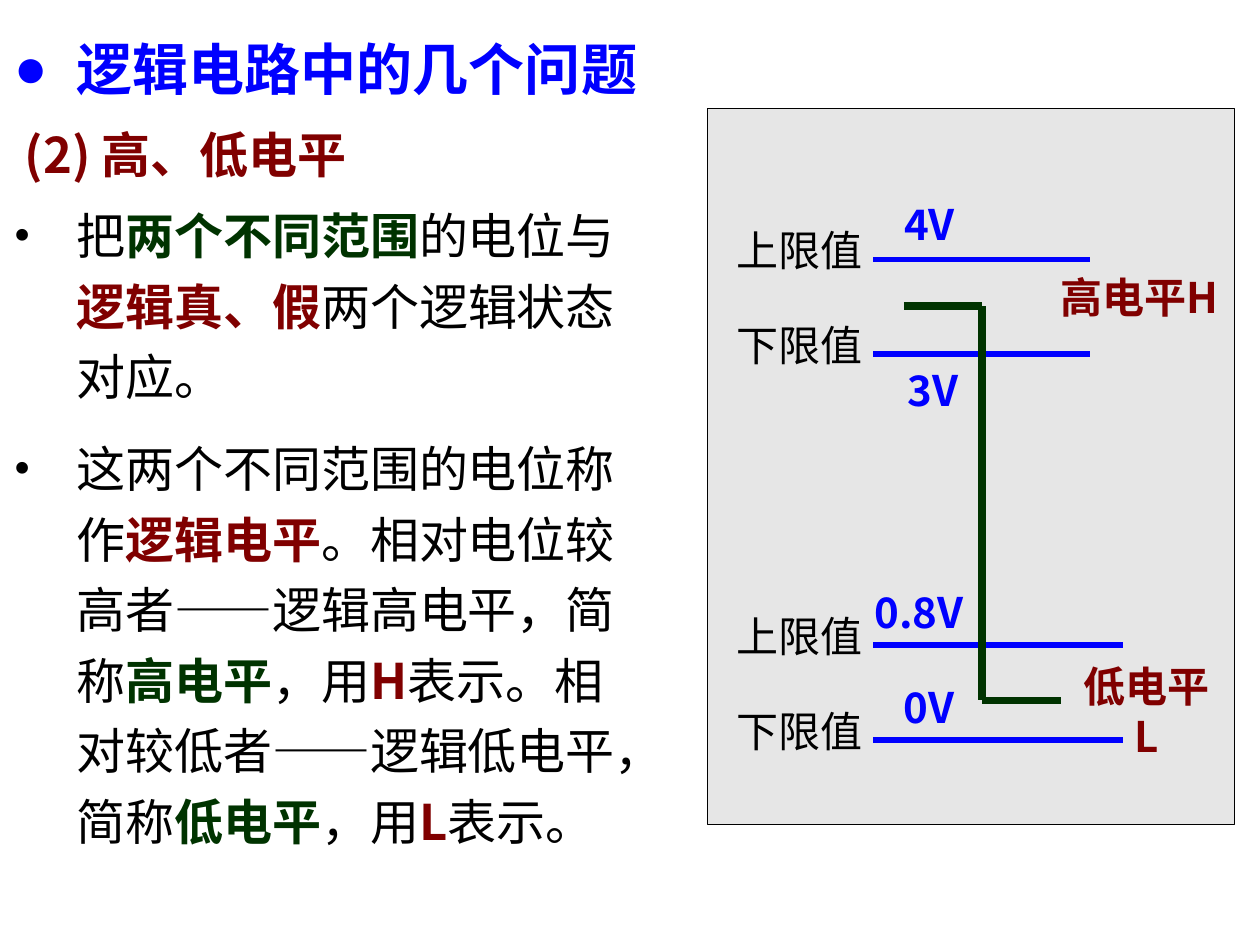
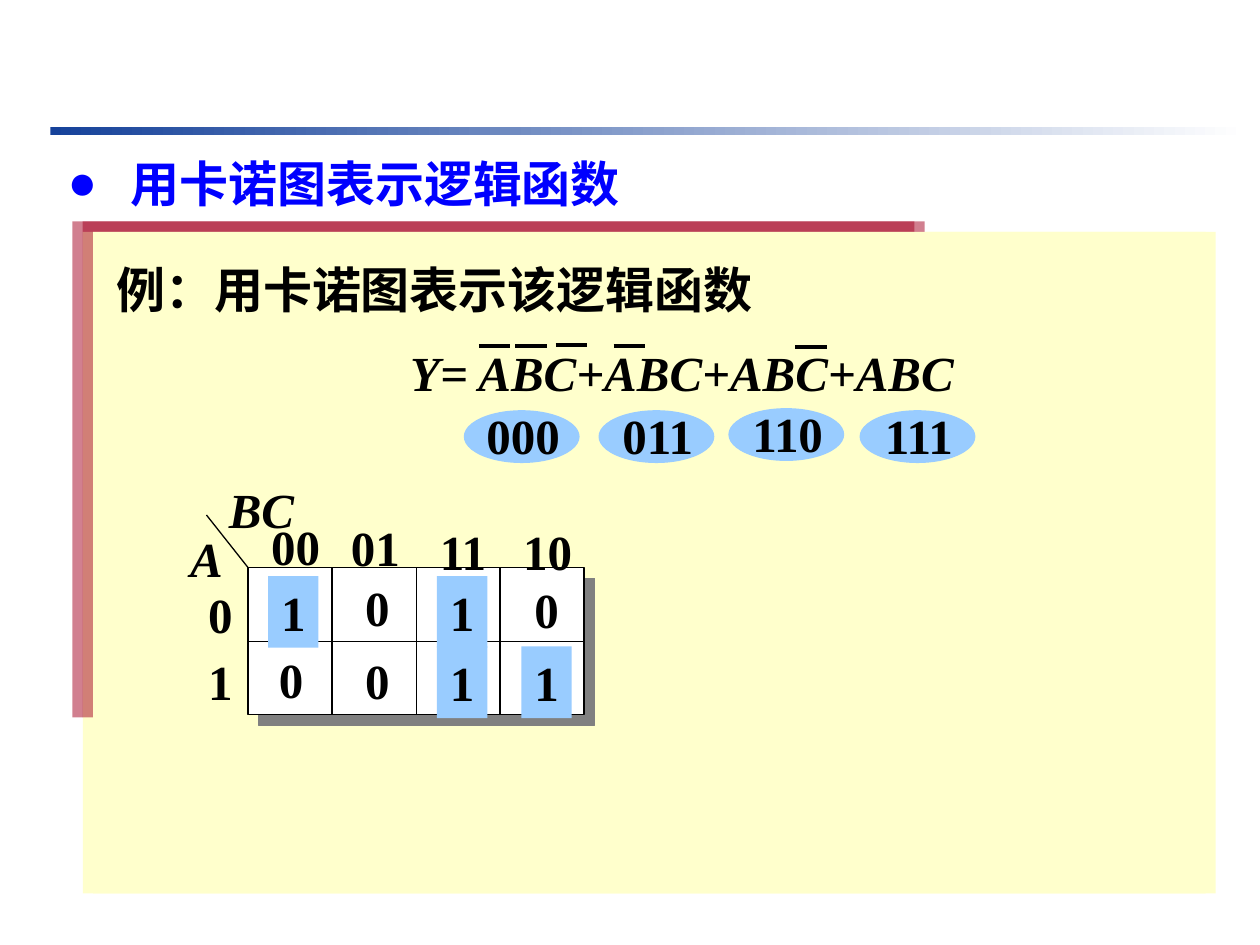
import itertools

import lxml.etree
import pptx
import pptx.dml.color
import pptx.enum.shapes
import pptx.enum.text
import pptx.oxml
import pptx.oxml.ns
import pptx.util

Pt = pptx.util.Pt
SHAPES = pptx.enum.shapes.MSO_SHAPE
ALIGN = pptx.enum.text.PP_ALIGN
ANCHOR = pptx.enum.text.MSO_ANCHOR
qn = pptx.oxml.ns.qn

COLORS = {
    "blue": "0000FF", "maroon": "800000", "green": "003300", "black": "000000",
    "white": "FFFFFF", "gray": "E6E6E6", "cream": "FFFFCC", "sky": "99CCFF",
    "bar": "16429A", "panel shadow": "A50021", "grid shadow": "808080",
}
SANS = "Noto Sans CJK SC"
SERIF = "Times New Roman"


def rgb(name):
    return pptx.dml.color.RGBColor.from_string(COLORS[name])


def format_run(run, size, color="black", bold=False, italic=False, font=SANS):
    run.font.size = Pt(size)
    run.font.bold = bold
    run.font.italic = italic
    run.font.color.rgb = rgb(color)
    run.font.name = font
    east_asian = lxml.etree.SubElement(run.font._element, qn("a:ea"))
    east_asian.set("typeface", SANS)


def format_bullet(paragraph, character):
    """Give a paragraph its bullet, hanging indent and spacing."""
    paragraph.alignment = ALIGN.LEFT
    paragraph.line_spacing = 1.2
    paragraph.space_before = paragraph.space_after = Pt(6)
    properties = paragraph._p.get_or_add_pPr()
    properties.set("marL", str(Pt(36)))
    properties.set("indent", str(-Pt(36)))
    lxml.etree.SubElement(properties, qn("a:buFont"), typeface=SERIF)
    lxml.etree.SubElement(properties, qn("a:buChar"), char=character)


def add_title(slide, text, left, top, size):
    title = slide.shapes.title
    title.left, title.top, title.width, title.height = Pt(left), Pt(top), Pt(372), Pt(54)
    frame = title.text_frame
    frame.text = text
    frame.word_wrap = True
    frame.auto_size = pptx.enum.text.MSO_AUTO_SIZE.NONE
    frame.vertical_anchor = ANCHOR.TOP
    format_bullet(frame.paragraphs[0], "●")
    format_run(frame.paragraphs[0].runs[0], size, "blue", bold=True)


def add_box(slide, left, top, width, height, fill, outline=None, kind=SHAPES.RECTANGLE):
    shape = slide.shapes.add_shape(kind, Pt(left), Pt(top), Pt(width), Pt(height))
    shape.shadow.inherit = False
    shape.fill.solid()
    shape.fill.fore_color.rgb = rgb(fill)
    if outline:
        shape.line.color.rgb = rgb(outline)
        shape.line.width = Pt(0.75)
    else:
        shape.line.fill.background()
    return shape


def add_shadow(shape, color, angle, opacity=100, scale=100):
    """Give a shape a hard shadow, scaled from its top left corner."""
    effects = shape._element.spPr.find(qn("a:effectLst"))
    shadow = lxml.etree.SubElement(effects, qn("a:outerShdw"))
    settings = {"dist": Pt(8.5), "dir": angle * 60000, "sx": scale * 1000,
                "sy": scale * 1000, "algn": "tl", "rotWithShape": 0}
    for name, value in settings.items():
        shadow.set(name, str(value))
    shade = lxml.etree.SubElement(shadow, qn("a:srgbClr"), val=COLORS[color])
    lxml.etree.SubElement(shade, qn("a:alpha"), val=str(opacity * 1000))


def write_centered(shape, text, size, **style):
    frame = shape.text_frame
    frame.margin_left = frame.margin_right = frame.margin_top = frame.margin_bottom = 0
    frame.word_wrap = False
    frame.vertical_anchor = ANCHOR.MIDDLE
    frame.paragraphs[0].text = text
    frame.paragraphs[0].alignment = ALIGN.CENTER
    format_run(frame.paragraphs[0].runs[0], size, **style)


def add_level_label(slide, text, left, top, width, **style):
    label = add_box(slide, left, top, width, 34.5, "gray")
    write_centered(label, text, 24, **style)
    return label


def add_math(slide, text, left, top, width=28.8, italic=False):
    box = slide.shapes.add_textbox(Pt(left), Pt(top), Pt(width), Pt(41))
    write_centered(box, text, 28, bold=True, italic=italic, font=SERIF)


def add_line(slide, start, end, color="black", weight=0.75):
    line = slide.shapes.add_connector(
        pptx.enum.shapes.MSO_CONNECTOR.STRAIGHT, *map(Pt, start), *map(Pt, end))
    line.line.color.rgb = rgb(color)
    line.line.width = Pt(weight)
    lxml.etree.SubElement(line._element.spPr, qn("a:effectLst"))
    return line


def add_level_text(slide):
    points = [
        [("把", None), ("两个不同范围", "green"), ("的电位与", None),
         ("逻辑真、假", "maroon"), ("两个逻辑状态对应。", None)],
        [("这两个不同范围的电位称作", None), ("逻辑电平", "maroon"),
         ("。相对电位较高者——逻辑高电平，简称", None), ("高电平", "green"),
         ("，用", None), ("H", "maroon"),
         ("表示。相对较低者——逻辑低电平，简称", None), ("低电平", "green"),
         ("，用", None), ("L", "maroon"), ("表示。", None)],
    ]
    box = slide.shapes.add_textbox(Pt(0.72), Pt(61), Pt(371.5), Pt(429))
    frame = box.text_frame
    frame.word_wrap = True
    heading = frame.paragraphs[0]
    heading.text = " (2) 高、低电平"
    heading.line_spacing = 1.2
    format_run(heading.runs[0], 28, "maroon", bold=True)
    for point in points:
        paragraph = frame.add_paragraph()
        format_bullet(paragraph, "•")
        for text, emphasis in point:
            run = paragraph.add_run()
            run.text = text
            format_run(run, 28, emphasis or "black", bold=bool(emphasis))


def add_level_diagram(slide):
    add_box(slide, 404.2, 62.2, 301.4, 408.8, "gray", "black")
    # limit name, line height, line end, voltage, its left, width and offset from the line
    limits = [
        ("上限值", 148.3, 622.8, "4V", 509.6, 43.2, -38),
        ("下限值", 202.3, 622.8, "3V", 511.4, 43.2, 3),
        ("上限值", 368.6, 642, "0.8V", 492.3, 65.5, -36.4),
        ("下限值", 422.9, 642, "0V", 509.2, 43.2, -36.4),
    ]
    for name, y, end, voltage, left, width, offset in limits:
        add_line(slide, (499, y), (end, y), "blue", 3)
        add_level_label(slide, name, 414.7, y - 22.8, 84.2)
        add_level_label(slide, voltage, left, y + offset, width, color="blue", bold=True)
    falling_edge = [(516.5, 175), (561.4, 175), (561.4, 400.3), (606.2, 400.3)]
    for start, end in itertools.pairwise(falling_edge):
        add_line(slide, start, end, "green", 4.5)
    for text, left, top, width in (("高电平H", 599, 152, 103.7), ("低电平L", 607, 374.4, 96.5)):
        label = add_level_label(slide, text, left, top, width, color="maroon", bold=True)
        frame = label.text_frame
        frame.word_wrap = True
        frame.vertical_anchor = ANCHOR.TOP
        frame.margin_left = frame.margin_right = Pt(5.8)
        frame.margin_top = Pt(2.9)


def add_header_bar(slide):
    bar = add_box(slide, 28.8, 72.4, 683.3, 5, "bar")
    bar.fill.gradient()
    bar.fill.gradient_angle = 0
    for stop, color in zip(bar.fill.gradient_stops, ("bar", "white")):
        stop.color.rgb = rgb(color)


def add_function(slide):
    """Add the example's heading, its formula and the minterm codes."""
    heading = slide.shapes.add_textbox(Pt(59.4), Pt(144.7), Pt(582), Pt(41))
    heading.text_frame.word_wrap = True
    heading.text_frame.text = "例：用卡诺图表示该逻辑函数"
    format_run(heading.text_frame.paragraphs[0].runs[0], 28, bold=True, font=SERIF)
    add_math(slide, "Y= ABC+ABC+ABC+ABC", 224.8, 192.2, 329.8, italic=True)
    for left, y in ((273.6, 197.8), (294.5, 197.8), (317.5, 197.2), (350.6, 197.8), (454.5, 198.4)):
        add_line(slide, (left, y), (left + 18, y), weight=2.25)
    minterms = (("000", 265, 234.4), ("011", 342, 234.4), ("110", 416.2, 233.2), ("111", 491.2, 234.4))
    for code, left, top in minterms:
        ellipse = add_box(slide, left, top, 66.2, 30.2, "sky", kind=SHAPES.OVAL)
        write_centered(ellipse, code, 28, bold=True, font=SERIF)
        ellipse.text_frame.margin_left = ellipse.text_frame.margin_bottom = Pt(1.6)


def add_karnaugh_map(slide):
    left, top, width, height = 141.8, 324.4, 192, 84
    grid = add_box(slide, left, top, width, height, "white", "black")
    add_shadow(grid, "grid shadow", 45)
    for column in (1, 2, 3):
        x = left + column * width / 4
        divider = add_line(slide, (x, top), (x, top + height))
        if column == 2:
            divider.begin_connect(grid, 0)
            divider.end_connect(grid, 2)
    row_divider = add_line(slide, (left, top + height / 2), (left + width, top + height / 2))
    row_divider.begin_connect(grid, 1)
    row_divider.end_connect(grid, 3)
    add_line(slide, (118, 294.3), (left, top))

    add_math(slide, "A", 101.5, 298.3, 33, italic=True)
    add_math(slide, "BC", 123.5, 270.5, 51.8, italic=True)
    for code, x, y in (("00", 147.4, 291.6), ("01", 193, 292.3), ("11", 243, 294.5), ("10", 291.4, 294.5)):
        add_math(slide, code, x, y, 43)
    for code, y in (("0", 330.5), ("1", 368.4)):
        add_math(slide, code, 111.6, y)
    for x, y in ((153.2, 329.2), (249.7, 329.2), (249.7, 369.4), (297.9, 369.4)):
        cell = add_box(slide, x, y, 28.8, 41, "sky")
        write_centered(cell, "1", 28, bold=True, font=SERIF)
    for x, y in ((201.2, 326.2), (201.2, 368.2), (297.9, 327.6), (152, 367.2)):
        add_math(slide, "0", x, y)


def main():
    presentation = pptx.Presentation()
    presentation.slide_width, presentation.slide_height = Pt(720), Pt(540)
    title_only = presentation.slide_layouts[5]

    levels = presentation.slides.add_slide(title_only)
    add_title(levels, "逻辑电路中的几个问题", 0.72, 8.6, 32)
    add_level_text(levels)
    add_level_diagram(levels)

    karnaugh = presentation.slides.add_slide(title_only)
    add_header_bar(karnaugh)
    add_title(karnaugh, "用卡诺图表示逻辑函数", 31.4, 77.5, 28)
    for left in (47.4, 53.2):
        panel = add_box(karnaugh, left, 132.5, 641.5, 378, "cream")
        add_shadow(panel, "panel shadow", 225, opacity=50, scale=75)
    add_function(karnaugh)
    add_karnaugh_map(karnaugh)

    presentation.save("out.pptx")


if __name__ == "__main__":
    main()
